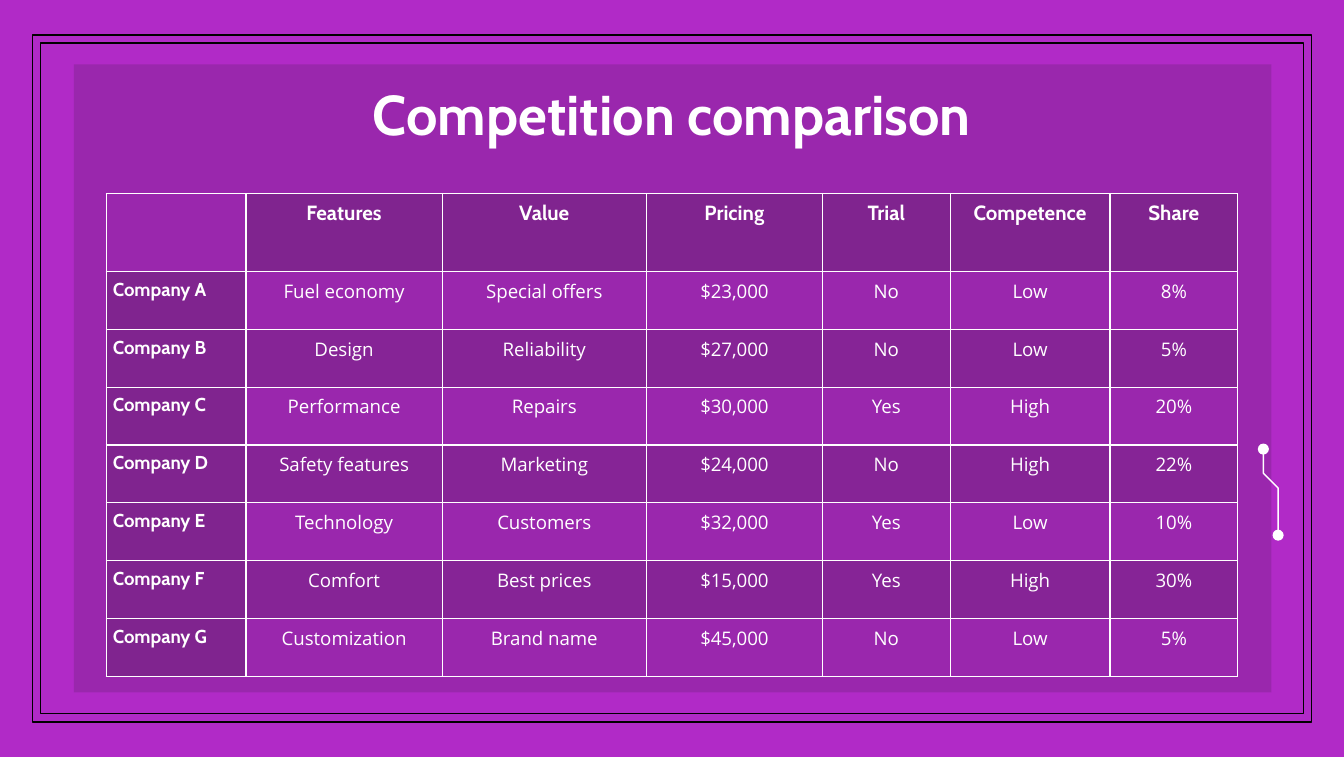
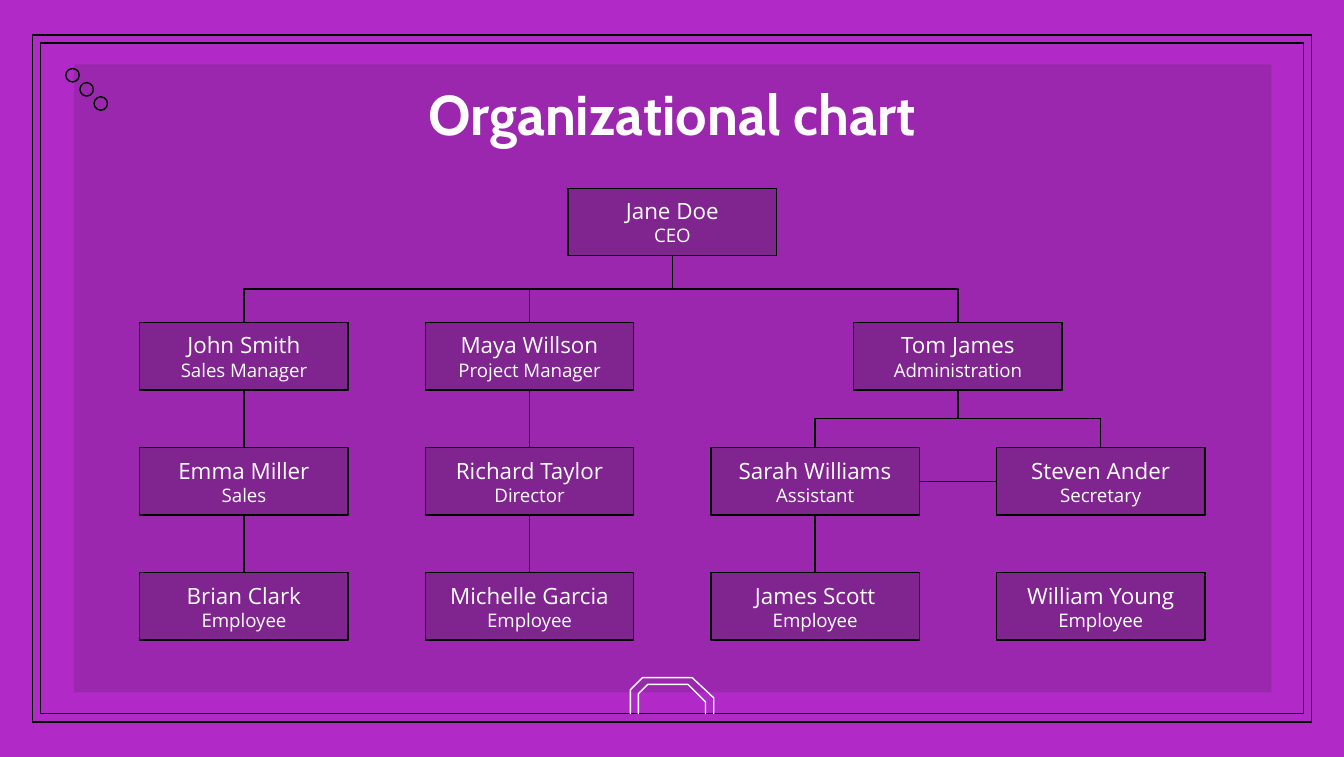
from lxml import etree
from pptx import Presentation
from pptx.dml.color import RGBColor
from pptx.enum.shapes import MSO_CONNECTOR, MSO_SHAPE
from pptx.enum.text import MSO_ANCHOR, PP_ALIGN
from pptx.oxml.ns import qn
from pptx.util import Inches, Pt

RECTANGLE, FRAME, OVAL = MSO_SHAPE.RECTANGLE, MSO_SHAPE.FRAME, MSO_SHAPE.OVAL
STRAIGHT, ELBOW = MSO_CONNECTOR.STRAIGHT, MSO_CONNECTOR.ELBOW
LEFT, CENTER = PP_ALIGN.LEFT, PP_ALIGN.CENTER
MIDDLE = MSO_ANCHOR.MIDDLE
TOP_SIDE, LEFT_SIDE, BOTTOM_SIDE, RIGHT_SIDE = range(4)

COLORS = {"background": "B12AC7", "shade": "191919", "outline": "000000", "light": "FFFFFF"}
HEADING_FONT, BODY_FONT = "Cabin", "Open Sans"
LINE_WIDTH = Pt(0.75)
PANEL_ALPHA, BAND_ALPHA, BOX_ALPHA = 15, 15, 20

COMPARISON_TITLE = "Competition comparison"
COMPARISON = [
    ("", "Features", "Value", "Pricing", "Trial", "Competence", "Share"),
    ("Company A", "Fuel economy", "Special offers", "$23,000", "No", "Low", "8%"),
    ("Company B", "Design", "Reliability", "$27,000", "No", "Low", "5%"),
    ("Company C", "Performance", "Repairs", "$30,000", "Yes", "High", "20%"),
    ("Company D", "Safety features", "Marketing", "$24,000", "No", "High", "22%"),
    ("Company E", "Technology", "Customers", "$32,000", "Yes", "Low", "10%"),
    ("Company F", "Comfort", "Best prices", "$15,000", "Yes", "High", "30%"),
    ("Company G", "Customization", "Brand name", "$45,000", "No", "Low", "5%"),
]
COLUMN_WIDTHS = (1.04, 1.46, 1.52, 1.31, 0.95, 1.19, 0.95)
HEADER_HEIGHT, ROW_HEIGHT = 0.58, 0.43
CIRCUIT = [(9.4, 3.34), (9.4, 3.52), (9.51, 3.63), (9.51, 3.98)]

ORGANIZATION_TITLE = "Organizational chart"
PEOPLE = [
    ("Jane Doe", "CEO", 1.5, 0),
    ("John Smith", "Sales Manager", 0, 1),
    ("Maya Willson", "Project Manager", 1, 1),
    ("Tom James", "Administration", 2.5, 1),
    ("Emma Miller", "Sales", 0, 2),
    ("Richard Taylor", "Director", 1, 2),
    ("Sarah Williams", "Assistant", 2, 2),
    ("Steven Ander", "Secretary", 3, 2),
    ("Brian Clark", "Employee", 0, 3),
    ("Michelle Garcia", "Employee", 1, 3),
    ("James Scott", "Employee", 2, 3),
    ("William Young", "Employee", 3, 3),
]
REPORTS = [
    ("Jane Doe", "John Smith"),
    ("Jane Doe", "Maya Willson"),
    ("Jane Doe", "Tom James"),
    ("John Smith", "Emma Miller"),
    ("Emma Miller", "Brian Clark"),
    ("Maya Willson", "Richard Taylor"),
    ("Richard Taylor", "Michelle Garcia"),
    ("Tom James", "Sarah Williams"),
    ("Tom James", "Steven Ander"),
    ("Sarah Williams", "James Scott"),
]
PEERS = ("Sarah Williams", "Steven Ander")
FIRST_LEFT, COLUMN_PITCH = 1.04, 8.5 / 4
LEVEL_TOPS = (1.4, 2.4, 3.33, 4.26)
BOX_WIDTH, BOX_HEIGHT = 1.55, 0.5
RING_LEFT, RING_TOP, RING_SIZE, RING_SPAN, RING_COUNT = 0.49, 0.51, 0.1, 0.21, 3
TABS = [
    [(4.69, 5.31), (4.69, 5.13), (4.78, 5.04), (5.15, 5.04), (5.31, 5.19), (5.31, 5.31)],
    [(4.75, 5.31), (4.75, 5.16), (4.82, 5.09), (5.12, 5.09), (5.25, 5.22), (5.25, 5.31)],
]


def color(name):
    return RGBColor.from_string(COLORS[name])


def shade(fill, properties, alpha):
    fill.solid()
    fill.fore_color.rgb = color("shade")
    tone = properties.find(qn("a:solidFill")).find(qn("a:srgbClr"))
    etree.SubElement(tone, qn("a:alpha"), val=str(alpha * 1000))


def draw_line(line, name):
    line.color.rgb = color(name)
    line.width = LINE_WIDTH


def style_text(paragraph, font_name, size, bold=False, align=CENTER):
    paragraph.alignment = align
    for run in paragraph.runs:
        font = run.font
        font.name, font.size, font.bold = font_name, Pt(size), bold
        font.color.rgb = color("light")


def set_margins(holder, margin):
    holder.margin_left = holder.margin_right = Inches(margin)
    holder.margin_top = holder.margin_bottom = Inches(margin)


def add_shape(slide, preset, box, alpha=None, outline=None):
    shape = slide.shapes.add_shape(preset, *map(Inches, box))
    shape.shadow.inherit = False
    if alpha is None:
        shape.fill.background()
    else:
        shade(shape.fill, shape._element.spPr, alpha)
    if outline:
        draw_line(shape.line, outline)
    else:
        shape.line.fill.background()
    return shape


def add_path(slide, points):
    start, *rest = [(Inches(x), Inches(y)) for x, y in points]
    builder = slide.shapes.build_freeform(*start)
    builder.add_line_segments(rest, close=False)
    shape = builder.convert_to_shape()
    shape.shadow.inherit = False
    shape.fill.background()
    draw_line(shape.line, "light")
    return shape


def add_titled_slide(prs, title):
    slide = prs.slides.add_slide(prs.slide_layouts[6])
    slide.background.fill.solid()
    slide.background.fill.fore_color.rgb = color("background")
    add_shape(slide, RECTANGLE, (0.55, 0.48, 8.91, 4.67), alpha=PANEL_ALPHA)
    border = add_shape(slide, FRAME, (0.24, 0.26, 9.52, 5.11), outline="outline")
    border.adjustments[0] = 0.012
    heading = slide.shapes.add_textbox(*map(Inches, (0.79, 0.49, 8.42, 0.63))).text_frame
    heading.word_wrap = True
    set_margins(heading, 0.1)
    heading.text = title
    style_text(heading.paragraphs[0], HEADING_FONT, 30, bold=True)
    return slide


def add_borders(cell):
    properties = cell._tc.get_or_add_tcPr()
    for side in ("lnL", "lnR", "lnT", "lnB"):
        border = etree.SubElement(properties, qn(f"a:{side}"), w=str(LINE_WIDTH))
        paint = etree.SubElement(border, qn("a:solidFill"))
        etree.SubElement(paint, qn("a:srgbClr"), val=COLORS["light"])


def cell_alpha(row, column):
    if row == 0 and column == 0:
        return None
    if row == 0 or column == 0:
        return BOX_ALPHA
    return BAND_ALPHA if row % 2 == 0 else None


def add_comparison(slide):
    heights = [HEADER_HEIGHT] + [ROW_HEIGHT] * (len(COMPARISON) - 1)
    box = (0.79, 1.44, sum(COLUMN_WIDTHS), sum(heights))
    table = slide.shapes.add_table(len(heights), len(COLUMN_WIDTHS), *map(Inches, box)).table
    for column, width in zip(table.columns, COLUMN_WIDTHS):
        column.width = Inches(width)
    for r, (height, values) in enumerate(zip(heights, COMPARISON)):
        table.rows[r].height = Inches(height)
        for c, value in enumerate(values):
            cell = table.cell(r, c)
            set_margins(cell, 0.05)
            add_borders(cell)
            alpha = cell_alpha(r, c)
            if alpha is None:
                cell.fill.background()
            else:
                shade(cell.fill, cell._tc.tcPr, alpha)
            cell.text = value
            is_label = r == 0 or c == 0
            style_text(
                cell.text_frame.paragraphs[0],
                HEADING_FONT if is_label else BODY_FONT,
                11 if r == 0 else 10,
                bold=is_label,
                align=LEFT if c == 0 else CENTER,
            )


def add_circuit(slide):
    circuit = add_path(slide, CIRCUIT)
    line = circuit.line._get_or_add_ln()
    for end in ("headEnd", "tailEnd"):
        etree.SubElement(line, qn(f"a:{end}"), type="oval")


def add_person(slide, name, role, column, level):
    left = FIRST_LEFT + column * COLUMN_PITCH
    box = (left, LEVEL_TOPS[level], BOX_WIDTH, BOX_HEIGHT)
    person = add_shape(slide, RECTANGLE, box, alpha=BOX_ALPHA, outline="outline")
    frame = person.text_frame
    frame.word_wrap = True
    frame.vertical_anchor = MIDDLE
    set_margins(frame, 0.1)
    frame.text = f"{name}\n{role}"
    for paragraph, size in zip(frame.paragraphs, (12, 10)):
        style_text(paragraph, BODY_FONT, size)
    return person


def join(slide, kind, start, start_side, end, end_side):
    link = slide.shapes.add_connector(kind, 0, 0, 0, 0)
    link.begin_connect(start, start_side)
    link.end_connect(end, end_side)
    draw_line(link.line, "outline")
    etree.SubElement(link._element.spPr, qn("a:effectLst"))
    return link


def add_report(slide, manager, report):
    across = report.left - manager.left
    kind = ELBOW if across else STRAIGHT
    link = join(slide, kind, manager, BOTTOM_SIDE, report, TOP_SIDE)
    if across:
        drop = report.top - manager.top - manager.height
        center_x = manager.left + (manager.width + across) // 2
        center_y = report.top - drop // 2
        link.width, link.height = drop, abs(across)
        link.left, link.top = center_x - drop // 2, center_y - abs(across) // 2
        turn = link._element.spPr.get_or_add_xfrm()
        turn.rot = 270 if across > 0 else 90
        turn.flipH, turn.flipV = across > 0, False


def add_organization(slide):
    boxes = {person[0]: add_person(slide, *person) for person in PEOPLE}
    for manager, report in REPORTS:
        add_report(slide, boxes[manager], boxes[report])
    first, second = PEERS
    join(slide, STRAIGHT, boxes[first], RIGHT_SIDE, boxes[second], LEFT_SIDE)


def add_rings(slide):
    for i in range(RING_COUNT):
        offset = i * RING_SPAN / (RING_COUNT - 1)
        box = (RING_LEFT + offset, RING_TOP + offset, RING_SIZE, RING_SIZE)
        add_shape(slide, OVAL, box, outline="outline")


def main():
    prs = Presentation()
    prs.slide_width, prs.slide_height = Inches(10), Inches(5.63)

    comparison = add_titled_slide(prs, COMPARISON_TITLE)
    add_comparison(comparison)
    add_circuit(comparison)

    organization = add_titled_slide(prs, ORGANIZATION_TITLE)
    add_organization(organization)
    add_rings(organization)
    for tab in TABS:
        add_path(organization, tab)

    prs.save("out.pptx")


if __name__ == "__main__":
    main()
